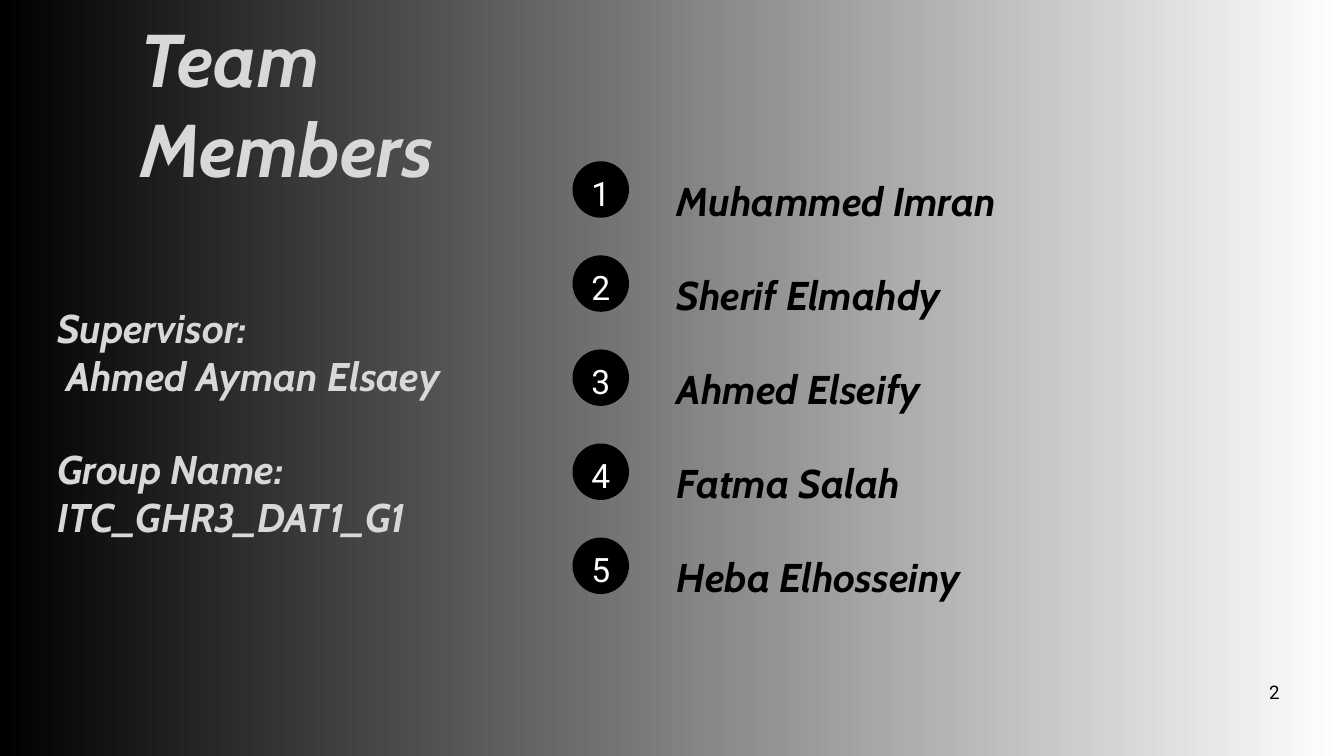
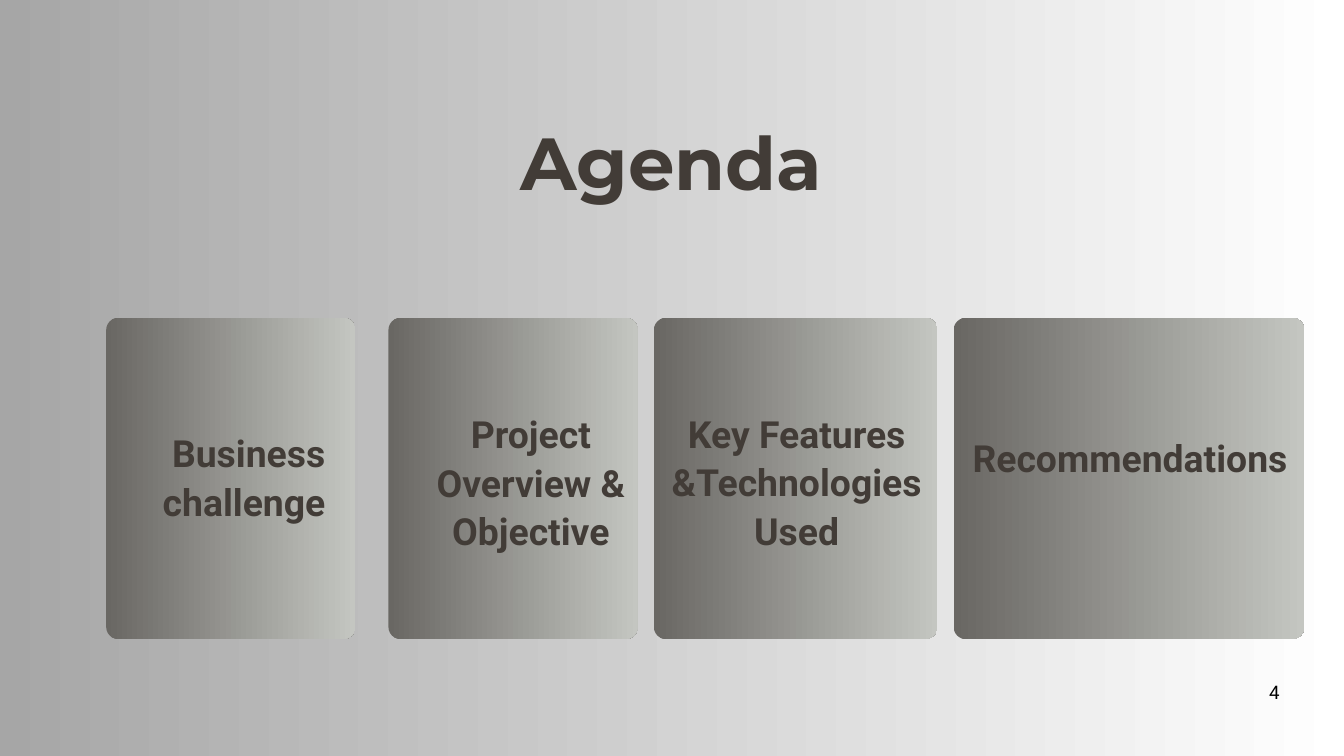
"""Build the team members and agenda slides."""
import pptx
import pptx.util
import pptx.dml.color
import pptx.enum.shapes
import pptx.enum.text

PX = 9144
SLIDE_SIZE = (2000, 1125)
COLORS = {
    "black": "000000",
    "white": "FFFFFF",
    "silver": "D8D8D6",
    "mist": "A6A6A6",
    "brown": "423C37",
    "card_dark": "696763",
    "card_light": "C4C6C1",
}
STYLES = {
    "team_title": ("Cabin", 80, 96, "silver", True, True),
    "detail": ("Cabin", 42.9, 51.5, "silver", True, True),
    "member": ("Cabin", 43, 86, "black", True, True),
    "badge": ("Roboto", 36, 56.5, "white", False, False),
    "agenda_title": ("Montserrat", 79, 94.8, "brown", True, False),
    "topic": ("Roboto", 40, 52, "brown", True, False),
    "page_number": ("Roboto", 20, 28, "black", False, False),
}
MEMBERS = ["Muhammed Imran", "Sherif Elmahdy", "Ahmed Elseify", "Fatma Salah", "Heba Elhosseiny"]
TOPICS = [
    ("Business challenge ", (158, 371), (53, 162, 142)),
    ("Project Overview & Objective", (578, 371), (53, 134, 287)),
    ("Key Features &Technologies Used", (973, 422), (3, 133, 279)),
    ("Recommendations", (1419, 522), (3, 169, 135)),
]


def px(*lengths):
    """Turn pixel lengths into EMU."""
    return [pptx.util.Emu(round(length * PX)) for length in lengths]


def rgb(name):
    """Look up a named colour."""
    return pptx.dml.color.RGBColor.from_string(COLORS[name])


def fade(fill, start, end):
    """Fill from left to right between two named colours."""
    fill.gradient()
    fill.gradient_angle = 0
    for stop, name, position in zip(fill.gradient_stops, (start, end), (0, 1)):
        stop.color.rgb = rgb(name)
        stop.position = position


def add_text(slide, box, lines, style, centered=False, wrap=True):
    """Write lines in a named style, one paragraph each."""
    face, size, spacing, color, bold, italic = STYLES[style]
    frame = slide.shapes.add_textbox(*px(*box)).text_frame
    frame.word_wrap = wrap
    frame.margin_left = frame.margin_top = frame.margin_right = frame.margin_bottom = 0
    frame.text = "\n".join(lines)
    for paragraph in frame.paragraphs:
        paragraph.line_spacing = pptx.util.Pt(spacing)
        if centered:
            paragraph.alignment = pptx.enum.text.PP_ALIGN.CENTER
        font = paragraph.font
        font.name, font.size = face, pptx.util.Pt(size)
        font.bold, font.italic = bold, italic
        font.color.rgb = rgb(color)


def add_panel(slide, kind, box):
    """Add a preset shape without outline or shadow."""
    panel = slide.shapes.add_shape(kind, *px(*box))
    panel.shadow.inherit = False
    panel.line.fill.background()
    return panel


def add_slide(deck, start, page_number):
    """Add a blank slide with its fading background and page number."""
    slide = deck.slides.add_slide(deck.slide_layouts[6])
    fade(slide.background.fill, start, "white")
    add_text(slide, (1888, 1007, 17, 22), [page_number], "page_number", True, wrap=False)
    return slide


def add_member(slide, box, number, name):
    """Place a numbered badge and a member's name in a row."""
    left, top, width, height = box
    badge = add_panel(slide, pptx.enum.shapes.MSO_SHAPE.OVAL, (left, top + 26, 84, 84))
    badge.fill.solid()
    badge.fill.fore_color.rgb = rgb("black")
    add_text(slide, (left + 12, top + 25, 60, 73), [str(number)], "badge", True)
    add_text(slide, (left + 155, top, width - 155, height), [name], "member")


def add_members(slide, box):
    """Stack the member rows evenly in the box."""
    left, top, width, height = box
    pitch = height // len(MEMBERS)
    for index, name in enumerate(MEMBERS):
        add_member(slide, (left, top + index * pitch, width, 106), index + 1, name)


def add_team_details(slide, box):
    """Place the title, supervisor and group name in the left column."""
    left, top, width, height = box
    add_text(slide, (left + 124, top, width - 124, 267), ["Team Members"], "team_title")
    add_text(slide, (left, top + 433, width, 142),
             ["Supervisor:", " Ahmed Ayman Elsaey"], "detail")
    add_text(slide, (left, top + height - 142, width, 142),
             ["Group Name:", "ITC_GHR3_DAT1_G1"], "detail")


def add_topic_card(slide, box, topic, text_place):
    """Place a rounded card with its topic."""
    left, top, width, height = box
    inset, drop, text_height = text_place
    card = add_panel(slide, pptx.enum.shapes.MSO_SHAPE.ROUNDED_RECTANGLE, box)
    card.adjustments[0] = 18 / min(width, height)
    fade(card.fill, "card_dark", "card_light")
    add_text(slide, (left + inset, top + drop, width - inset, text_height), [topic], "topic", True)


def build_team_slide(deck):
    """Build the team members slide."""
    slide = add_slide(deck, "black", "2")
    add_members(slide, (852, 214, 956, 700))
    add_team_details(slide, (85, 19, 656, 784))


def build_agenda_slide(deck):
    """Build the agenda slide."""
    slide = add_slide(deck, "mist", "4")
    add_text(slide, (229, 174, 1540, 131), ["Agenda"], "agenda_title", True)
    for topic, (left, width), text_place in TOPICS:
        add_topic_card(slide, (left, 473, width, 478), topic, text_place)


def main():
    """Build and save the deck."""
    deck = pptx.Presentation()
    deck.slide_width, deck.slide_height = px(*SLIDE_SIZE)
    build_team_slide(deck)
    build_agenda_slide(deck)
    deck.save("out.pptx")


if __name__ == "__main__":
    main()
